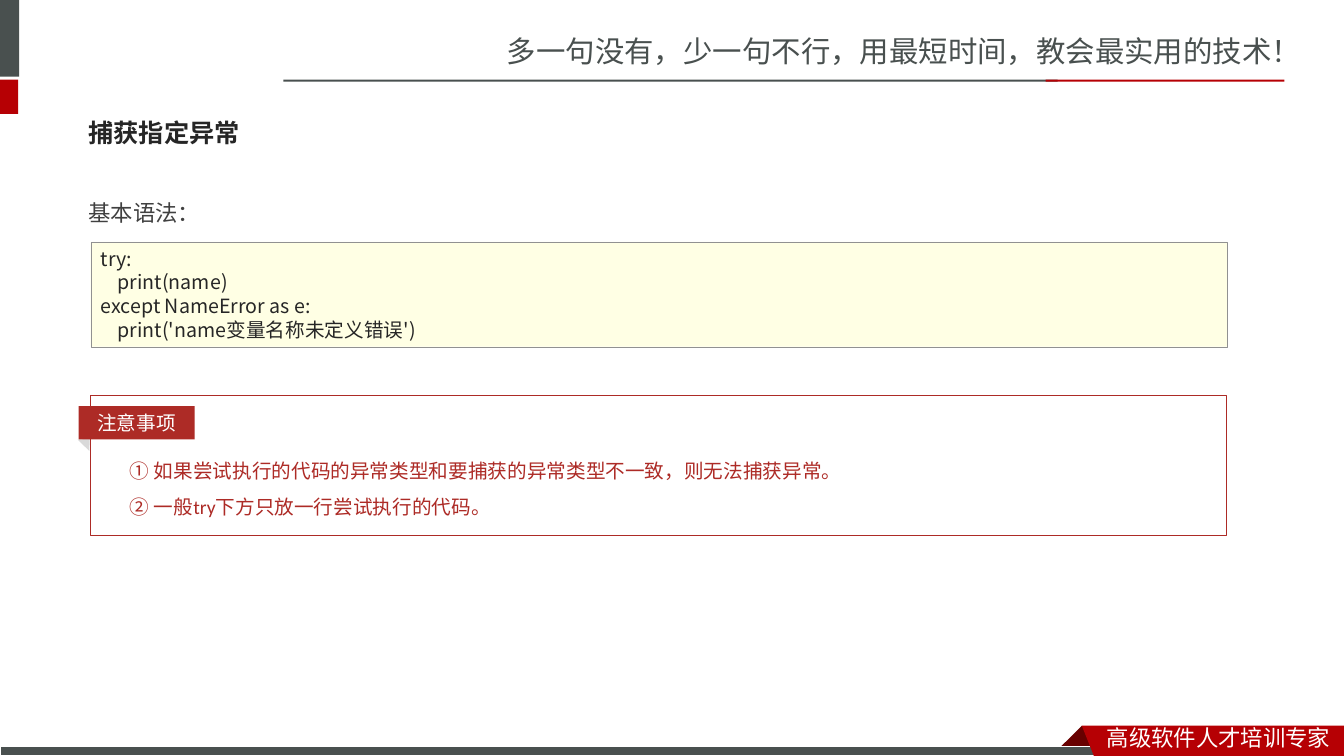
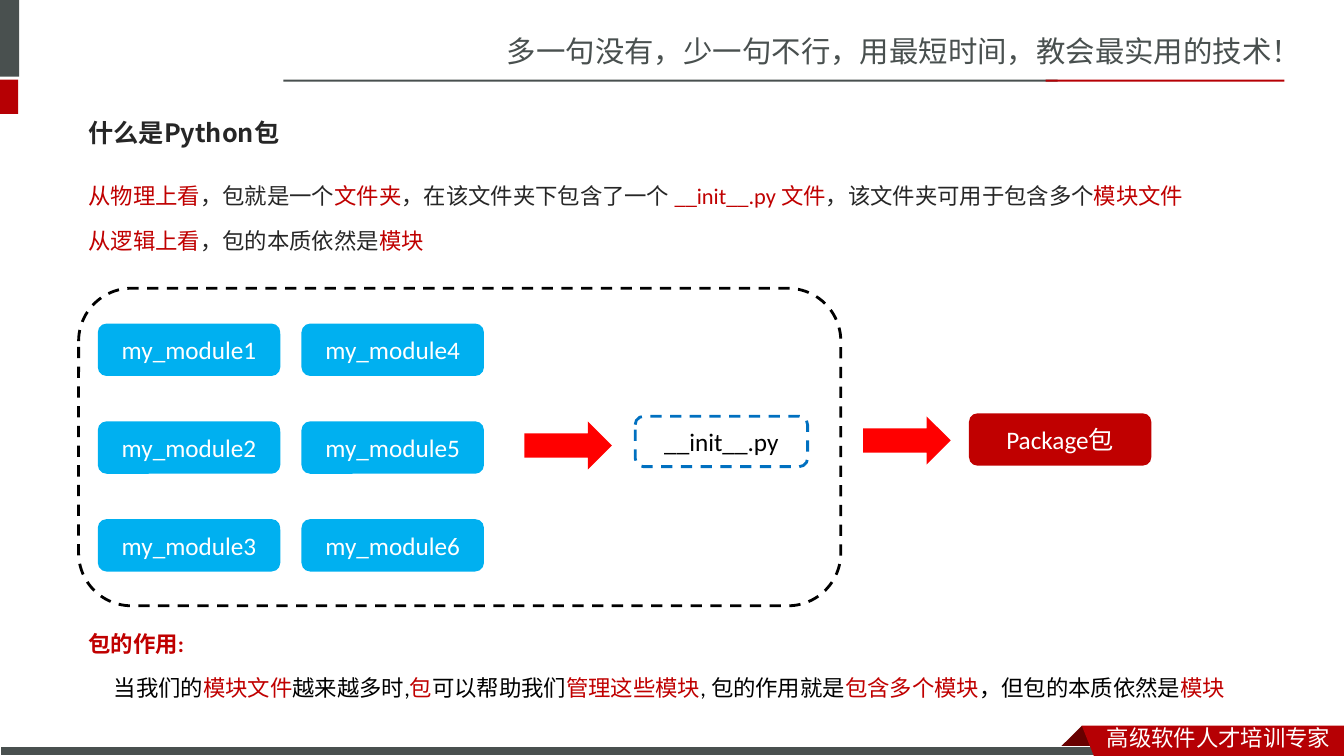
from lxml.etree import SubElement
from pptx import Presentation
from pptx.dml.color import RGBColor
from pptx.enum.dml import MSO_LINE
from pptx.enum.shapes import MSO_SHAPE
from pptx.enum.text import MSO_ANCHOR, PP_ALIGN
from pptx.oxml.ns import qn
from pptx.util import Inches, Pt

SLATE = RGBColor(0x49, 0x50, 0x4F)
CRIMSON = RGBColor(0xB6, 0x00, 0x04)
MAROON = RGBColor(0x68, 0x00, 0x00)
WHITE = RGBColor(0xFF, 0xFF, 0xFF)
BLACK = RGBColor(0x00, 0x00, 0x00)
INK = RGBColor(0x26, 0x26, 0x26)
GREY = RGBColor(0x40, 0x40, 0x40)
FOLD = RGBColor(0xD9, 0xD9, 0xD9)
BRICK = RGBColor(0xAD, 0x2B, 0x26)
CREAM = RGBColor(0xFF, 0xFF, 0xE4)
CODE_EDGE = RGBColor(0x91, 0x91, 0x91)
ACCENT = RGBColor(0xC0, 0x00, 0x00)
SKY = RGBColor(0x00, 0xB0, 0xF0)
BLUE = RGBColor(0x00, 0x70, 0xC0)
RED = RGBColor(0xFF, 0x00, 0x00)

HAN = "Noto Sans CJK SC"
HEAD = "Noto Sans CJK JP"
BODY = "Calibri"

TAGLINE = "多一句没有，少一句不行，用最短时间，教会最实用的技术！"
FOOTER = "高级软件人才培训专家"
BARS = [
    (0, 0, 0.19, 0.76, SLATE),
    (0, 0.79, 0.18, 0.34, CRIMSON),
    (2.81, 0.79, 7.68, 0.02, SLATE),
    (10.37, 0.79, 2.37, 0.02, CRIMSON),
]
RIBBON_FOLD = [(10.73, 7.2), (10.95, 7.42), (10.94, 7.43), (10.52, 7.43), (10.51, 7.42)]
RIBBON = [(10.73, 7.2), (13.33, 7.2), (13.33, 7.5), (10.85, 7.5)]

CATCH_TITLE = "捕获指定异常"
SYNTAX_LABEL = "基本语法："
CODE = ["try:", "print(name)", "except NameError as e:", "print('name变量名称未定义错误')"]
CODE_INDENTS = [0, 0.17, 0, 0.17]
NOTICE_LABEL = "注意事项"
NOTICES = [
    "① 如果尝试执行的代码的异常类型和要捕获的异常类型不一致，则无法捕获异常。",
    "② 一般try下方只放一行尝试执行的代码。",
]

PACKAGE_TITLE = "什么是Python包"
DEFINITION = [
    [("从物理上看", ACCENT), ("，包就是一个", INK), ("文件夹", ACCENT),
     ("，在该文件夹下包含了一个 ", INK), ("__init__.py 文件", ACCENT),
     ("，该文件夹可用于包含多个", INK), ("模块文件", ACCENT)],
    [("从逻辑上看", ACCENT), ("，包的本质依然是", INK), ("模块", ACCENT)],
]
PURPOSE_LABEL = "包的作用:"
PURPOSE = [
    [("当我们的", BLACK), ("模块文件", ACCENT), ("越来越多时,", BLACK), ("包", ACCENT),
     ("可以帮助我们", BLACK), ("管理这些模块", ACCENT), (", 包的作用就是", BLACK),
     ("包含多个模块", ACCENT), ("，但包的本质依然是", BLACK), ("模块", ACCENT)],
]
MODULE_COLUMNS = [
    ["my_module1", "my_module2", "my_module3"],
    ["my_module4", "my_module5", "my_module6"],
]
ARROWS = [(5.2, 4.18), (8.56, 4.13)]


def write(shape, paragraphs, size=16, font=BODY, color=INK, bold=False,
          align=PP_ALIGN.LEFT, anchor=MSO_ANCHOR.TOP, spacing=None, indents=None):
    frame = shape.text_frame
    frame.word_wrap = True
    frame.vertical_anchor = anchor
    for index, content in enumerate(paragraphs):
        para = frame.paragraphs[0] if index == 0 else frame.add_paragraph()
        para.alignment = align
        if spacing:
            para.line_spacing = Pt(spacing)
        if indents:
            para._p.get_or_add_pPr().set("marL", str(Inches(indents[index])))
        spans = [(content, color)] if isinstance(content, str) else content
        for words, tint in spans:
            span = para.add_run()
            span.text = words
            span.font.size = Pt(size)
            span.font.name = font
            span.font.bold = bold
            span.font.color.rgb = tint
            SubElement(span.font._element, qn("a:ea")).set("typeface", HAN)


def text_box(page, at, paragraphs, **style):
    box = page.shapes.add_textbox(*map(Inches, at))
    write(box, paragraphs, **style)


def paint(shape, fill=None, line=None, weight=0.75, dash=False):
    shape.shadow.inherit = False
    if fill is None:
        shape.fill.background()
    else:
        shape.fill.solid()
        shape.fill.fore_color.rgb = fill
    if line is None:
        shape.line.fill.background()
    else:
        shape.line.color.rgb = line
        shape.line.width = Pt(weight)
        if dash:
            shape.line.dash_style = MSO_LINE.DASH


def block(page, at, kind=MSO_SHAPE.RECTANGLE, **look):
    shape = page.shapes.add_shape(kind, *map(Inches, at))
    paint(shape, **look)
    return shape


def label(page, at, words, size=18, color=WHITE, **look):
    write(block(page, at, **look), [words], size=size, color=color,
          align=PP_ALIGN.CENTER, anchor=MSO_ANCHOR.MIDDLE)


def outline(page, points, fill):
    corners = [(Inches(x), Inches(y)) for x, y in points]
    builder = page.shapes.build_freeform(*corners[0])
    builder.add_line_segments(corners[1:], close=True)
    paint(builder.convert_to_shape(), fill=fill)


def add_page(deck, title):
    page = deck.slides.add_slide(deck.slide_layouts[6])
    text_box(page, (4.93, 0.28, 8.4, 0.44), [TAGLINE], size=21, font=HAN,
             color=SLATE, anchor=MSO_ANCHOR.MIDDLE)
    for *at, fill in BARS:
        block(page, at, fill=fill)
    outline(page, RIBBON_FOLD, MAROON)
    block(page, (0, 7.41, 10.99, 0.09), fill=SLATE, line=WHITE)
    outline(page, RIBBON, CRIMSON)
    text_box(page, (10.88, 7.14, 2.45, 0.35), [FOOTER], font=HAN,
             color=WHITE, anchor=MSO_ANCHOR.MIDDLE)
    text_box(page, (0.78, 1.03, 11.76, 0.57), [title], size=18, font=HEAD,
             bold=True, anchor=MSO_ANCHOR.MIDDLE)
    return page


def add_catch_page(deck):
    page = add_page(deck, CATCH_TITLE)
    text_box(page, (0.78, 1.9, 11.76, 0.42), [SYNTAX_LABEL], color=GREY,
             anchor=MSO_ANCHOR.MIDDLE)
    code = block(page, (0.9, 2.4, 11.27, 1.04), fill=CREAM, line=CODE_EDGE, weight=0.25)
    write(code, CODE, size=14, font=HEAD, spacing=16.8, indents=CODE_INDENTS)
    fold = block(page, (0.78, 4.34, 0.16, 0.09), kind=MSO_SHAPE.ISOSCELES_TRIANGLE, fill=FOLD)
    fold.rotation = 44.2
    block(page, (0.9, 3.92, 11.27, 1.39), line=BRICK)
    text_box(page, (1.19, 4.39, 10.69, 0.8), NOTICES, size=14, color=BRICK, spacing=25.2)
    label(page, (0.78, 4.03, 1.15, 0.33), NOTICE_LABEL, size=14, fill=BRICK)


def add_package_page(deck):
    page = add_page(deck, PACKAGE_TITLE)
    rounded = MSO_SHAPE.ROUNDED_RECTANGLE
    text_box(page, (0.78, 1.58, 12.35, 1), DEFINITION, spacing=32)
    for column, modules in enumerate(MODULE_COLUMNS):
        for row, module in enumerate(modules):
            at = (0.97 + 2.02 * column, 3.21 + 0.97 * row, 1.81, 0.52)
            label(page, at, module, kind=rounded, fill=SKY)
    block(page, (0.78, 2.86, 7.56, 3.15), kind=rounded, line=BLACK, weight=2, dash=True)
    for left, top in ARROWS:
        block(page, (left, top, 0.87, 0.48), kind=MSO_SHAPE.RIGHT_ARROW, fill=RED)
    label(page, (6.3, 4.13, 1.71, 0.5), "__init__.py", color=BLACK,
          kind=rounded, line=BLUE, weight=2, dash=True)
    label(page, (9.61, 4.1, 1.81, 0.52), "Package包", kind=rounded, fill=ACCENT)
    text_box(page, (0.78, 6.02, 12.35, 0.54), [PURPOSE_LABEL], color=ACCENT,
             bold=True, spacing=32)
    text_box(page, (0.78, 6.46, 12.35, 0.54), PURPOSE, spacing=32, indents=[0.25])


def main():
    deck = Presentation()
    deck.slide_width = Inches(13.33)
    deck.slide_height = Inches(7.5)
    add_catch_page(deck)
    add_package_page(deck)
    deck.save("out.pptx")


if __name__ == "__main__":
    main()
